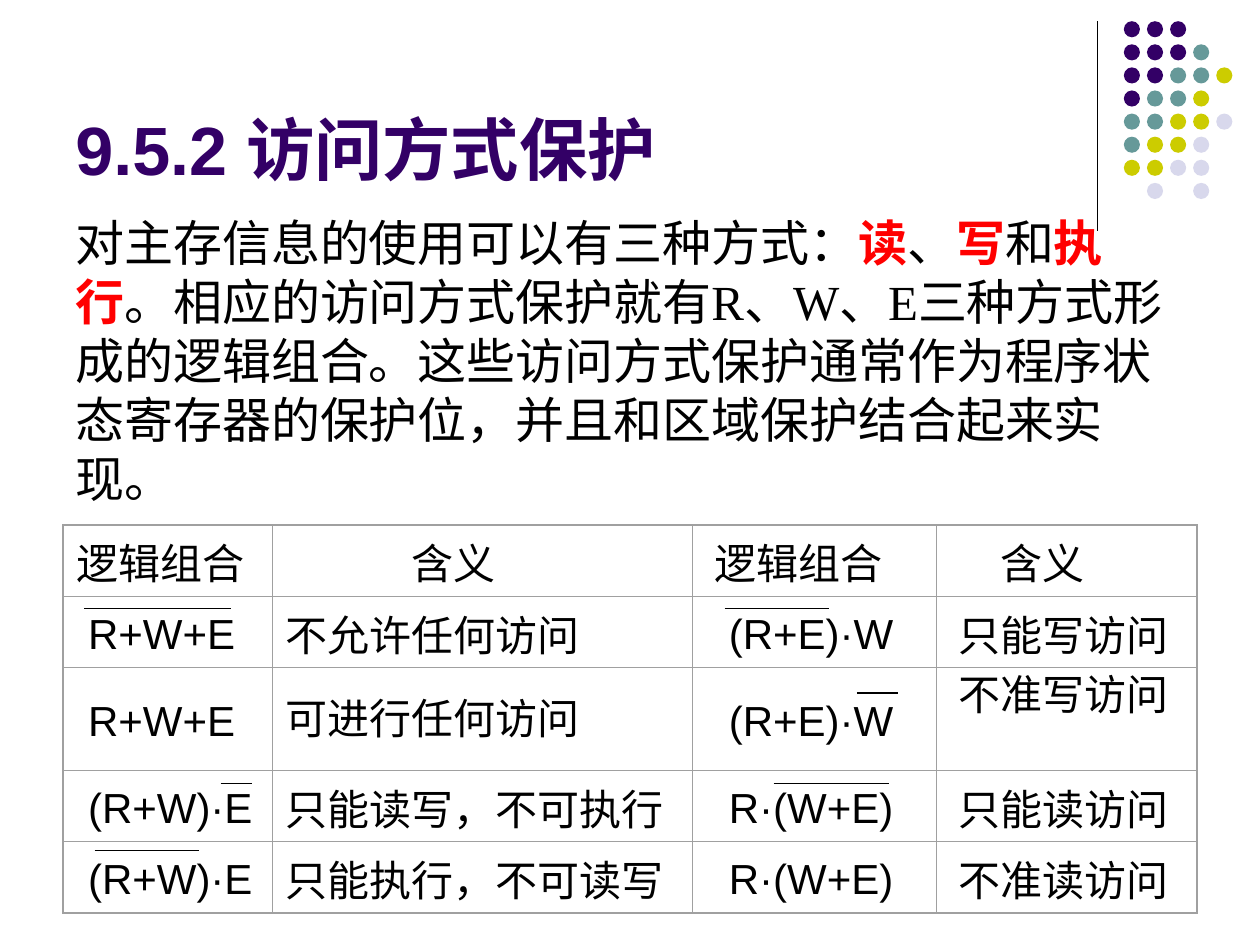
"""Build the slide on access mode protection."""
from dataclasses import dataclass

from lxml import etree
from pptx import Presentation
from pptx.dml.color import RGBColor
from pptx.enum import shapes, text
from pptx.oxml import ns
from pptx.util import Pt

COLORS = {
    "purple": "330066", "teal": "669999", "olive": "CCCC00", "pale": "D8D8EC",
    "black": "000000", "red": "FF0000", "grey": "A0A0A0",
}
DOT_NAMES = {"p": "purple", "t": "teal", "o": "olive", "l": "pale"}
DOT_ROWS = ["ppp", "pppt", "pptto", "ptto", "ttool", "tool", "ooll", " l l"]
DOT_LEFT, DOT_TOP, DOT_STEP, DOT_SIZE = 642.2, 12.1, 13.2, 9.2

TABLE_LEFT, TABLE_TOP = 36, 300
COLUMN_WIDTHS = [119.5, 240, 139.5, 149]
ROW_HEIGHTS = [40.75, 40.5, 59, 40.5, 41]
INSET, SPACE = 7.7, 6.67
HEADER_INDENTS = [0, 72, 5, 29]
BODY_INDENTS = [SPACE, 0, 2 * SPACE, 5]
TABLE_ROWS = [
    ["逻辑组合", "含义", "逻辑组合", "含义"],
    ["R+W+E", "不允许任何访问", "(R+E)·W", "只能写访问"],
    ["R+W+E", "可进行任何访问", "(R+E)·W", "不准写访问"],
    ["(R+W)·E", "只能读写，不可执行", "R·(W+E)", "只能读访问"],
    ["(R+W)·E", "只能执行，不可读写", "R·(W+E)", "不准读访问"],
]
TOP_ALIGNED_CELL = (2, 3)


@dataclass
class Line:
    left: float
    top: float
    right: float
    bottom: float


@dataclass
class Span:
    words: str
    color: str = "black"
    bold: bool = False


DIVIDER = Line(627.1, 12.2, 627.1, 131.8)
OVERBARS = [
    Line(left, top, right, top)
    for left, right, top in [
        (48.2, 131.8, 347.8), (414, 473.8, 347.8), (489.6, 513.4, 396),
        (442.1, 508.3, 447.8), (126, 144, 447.8), (54, 113.8, 486),
    ]
]
BODY = [
    Span("对主存信息的使用可以有三种方式："), Span("读", "red", True), Span("、"),
    Span("写", "red", True), Span("和"), Span("执行", "red", True),
    Span("。相应的访问方式保护就有R、W、E三种方式形成的逻辑组合。"
         "这些访问方式保护通常作为程序状态寄存器的保护位，并且和区域保护结合起来实现。"),
]


def rgb(name: str) -> RGBColor:
    """Return the named colour."""
    return RGBColor.from_string(COLORS[name])


def draw_line(page, line: Line) -> None:
    """Draw a thin black straight line."""
    connector = page.shapes.add_connector(
        shapes.MSO_CONNECTOR.STRAIGHT,
        Pt(line.left), Pt(line.top), Pt(line.right), Pt(line.bottom))
    connector.line.color.rgb = rgb("black")
    connector.line.width = Pt(0.75)
    etree.SubElement(connector._element.spPr, ns.qn("a:effectLst"))


def draw_dots(page) -> None:
    """Draw the grid of coloured dots."""
    for row, codes in enumerate(DOT_ROWS):
        for column, code in enumerate(codes):
            if code == " ":
                continue
            dot = page.shapes.add_shape(
                shapes.MSO_SHAPE.OVAL,
                Pt(DOT_LEFT + column * DOT_STEP), Pt(DOT_TOP + row * DOT_STEP),
                Pt(DOT_SIZE), Pt(DOT_SIZE))
            dot.shadow.inherit = False
            dot.fill.solid()
            dot.fill.fore_color.rgb = rgb(DOT_NAMES[code])
            dot.line.fill.background()


def draw_text(page, area: tuple, spans: list[Span], font: str, size: float,
              anchor: text.MSO_ANCHOR) -> None:
    """Draw one wrapped paragraph of spans without hanging punctuation."""
    box = page.shapes.add_textbox(*(Pt(length) for length in area))
    frame = box.text_frame
    frame.word_wrap = True
    frame.vertical_anchor = anchor
    para = frame.paragraphs[0]
    para.font.name, para.font.size = font, Pt(size)
    para._p.get_or_add_pPr().set("hangingPunct", "0")
    for span in spans:
        run = para.add_run()
        run.text = span.words
        run.font.bold = span.bold
        run.font.color.rgb = rgb(span.color)


def set_borders(cell, widths: dict[str, float]) -> None:
    """Give each side of a cell a grey border of its own width."""
    properties = cell._tc.get_or_add_tcPr()
    for position, (side, width) in enumerate(widths.items()):
        border = etree.Element(ns.qn(f"a:ln{side}"), w=str(Pt(width)))
        fill = etree.SubElement(border, ns.qn("a:solidFill"))
        etree.SubElement(fill, ns.qn("a:srgbClr"), val=COLORS["grey"])
        properties.insert(position, border)


def draw_table(page) -> None:
    """Draw the table of logical combinations and meanings."""
    table = page.shapes.add_table(
        len(ROW_HEIGHTS), len(COLUMN_WIDTHS), Pt(TABLE_LEFT), Pt(TABLE_TOP),
        Pt(sum(COLUMN_WIDTHS)), Pt(sum(ROW_HEIGHTS))).table
    table.first_row = table.horz_banding = False
    for column, width in zip(table.columns, COLUMN_WIDTHS):
        column.width = Pt(width)
    for row, height in zip(table.rows, ROW_HEIGHTS):
        row.height = Pt(height)
    last_row, last_column = len(ROW_HEIGHTS) - 1, len(COLUMN_WIDTHS) - 1
    for row, entries in enumerate(TABLE_ROWS):
        indents = BODY_INDENTS if row else HEADER_INDENTS
        for column, words in enumerate(entries):
            cell = table.cell(row, column)
            cell.text = words
            cell.fill.background()
            cell.margin_left = Pt(INSET + indents[column])
            cell.margin_right = Pt(2)
            cell.margin_top, cell.margin_bottom = (
                (Pt(7), Pt(3.6)) if words.isascii() or "·" in words else (Pt(3.6), Pt(5.9)))
            cell.vertical_anchor = text.MSO_ANCHOR.MIDDLE
            para = cell.text_frame.paragraphs[0]
            if (row, column) == TOP_ALIGNED_CELL:
                cell.vertical_anchor = text.MSO_ANCHOR.TOP
                cell.margin_top = Pt(1.3)
                para.line_spacing = 0.84
            para.font.name, para.font.size = "Arial", Pt(24)
            para.font.color.rgb = rgb("black")
            outer = {"L": column == 0, "R": column == last_column,
                     "T": row == 0, "B": row == last_row}
            set_borders(cell, {side: 1.25 if edge else 0.5 for side, edge in outer.items()})


def main() -> None:
    """Build and save the deck."""
    deck = Presentation()
    deck.slide_width, deck.slide_height = Pt(720), Pt(540)
    page = deck.slides.add_slide(deck.slide_layouts[6])
    draw_line(page, DIVIDER)
    draw_dots(page)
    draw_text(page, (36, 9.4, 594, 102.2), [Span("9.5.2 访问方式保护", "purple", True)],
              "Arial", 39, text.MSO_ANCHOR.BOTTOM)
    draw_text(page, (36, 118, 646, 179.3), BODY, "Times New Roman", 28, text.MSO_ANCHOR.TOP)
    draw_table(page)
    for overbar in OVERBARS:
        draw_line(page, overbar)
    deck.save("out.pptx")


if __name__ == "__main__":
    main()
